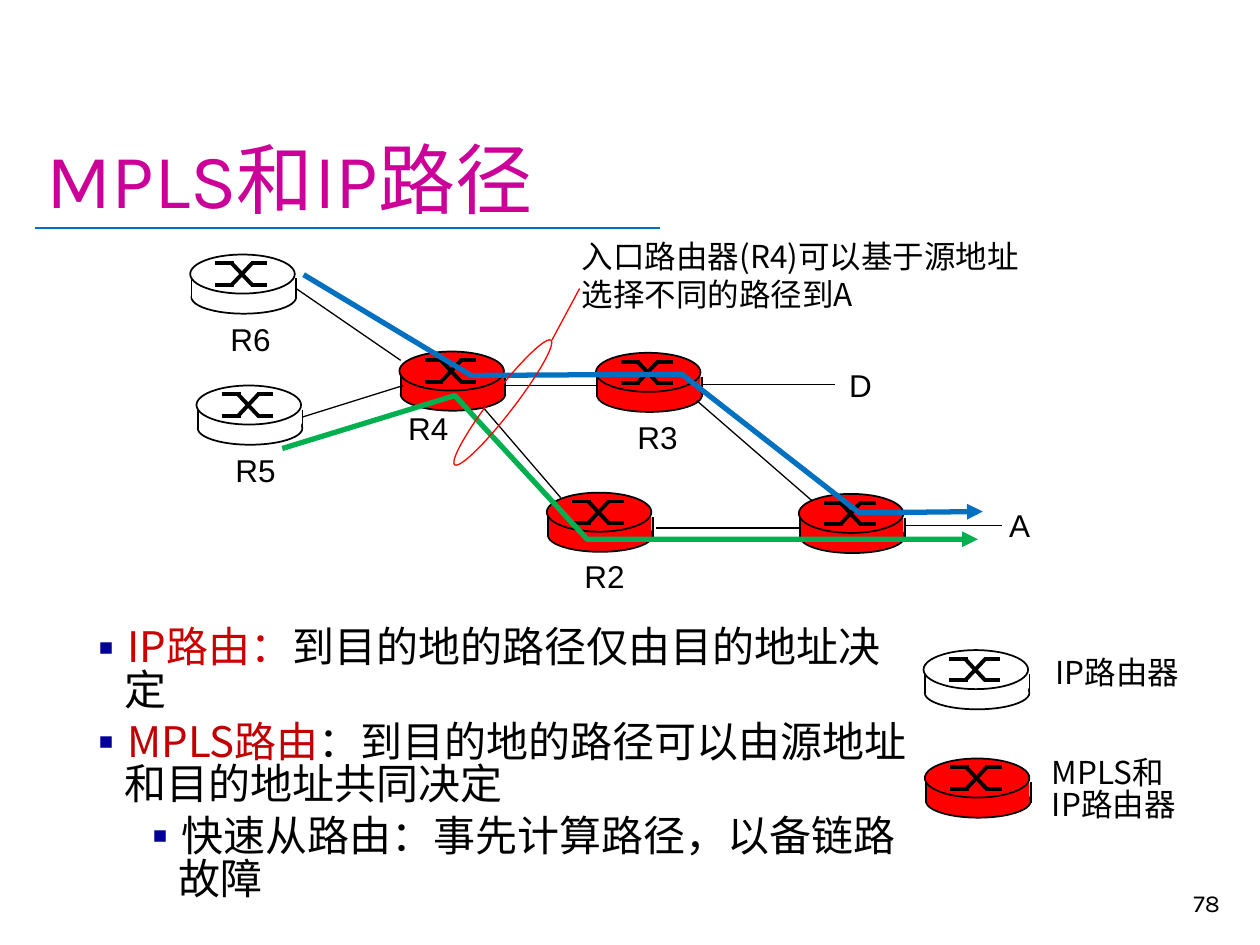
import lxml.etree
import pptx
import pptx.dml.color
import pptx.enum.shapes
import pptx.enum.text
import pptx.oxml.ns
import pptx.util

Inches = pptx.util.Inches
Pt = pptx.util.Pt
qn = pptx.oxml.ns.qn
rgb = pptx.dml.color.RGBColor.from_string
SHAPE = pptx.enum.shapes.MSO_SHAPE
ANCHOR = pptx.enum.text.MSO_ANCHOR
ALIGN = pptx.enum.text.PP_ALIGN

COLORS = {
    "black": "000000", "white": "FFFFFF", "red": "FF0000",
    "blue": "0070C0", "green": "00B050", "title": "CC0099",
    "ip_term": "CC0000", "mpls_term": "C00000", "bullet": "000099",
}
CJK_FONT = "Noto Sans CJK SC"

presentation = pptx.Presentation()
presentation.slide_width = Inches(10)
presentation.slide_height = Inches(7.5)
slide = presentation.slides.add_slide(presentation.slide_layouts[6])


def add_text(text, left, top, width, height, size=18, color="black", font=CJK_FONT,
             wrap=True, anchor=ANCHOR.TOP, align=ALIGN.LEFT, spacing=None, indents=()):
    box = slide.shapes.add_textbox(Inches(left), Inches(top), Inches(width), Inches(height))
    frame = box.text_frame
    frame.word_wrap = wrap
    frame.vertical_anchor = anchor
    paragraphs = [[(text, color)]] if isinstance(text, str) else text
    for index, runs in enumerate(paragraphs):
        paragraph = frame.add_paragraph() if index else frame.paragraphs[0]
        paragraph.alignment = align
        if spacing:
            paragraph.line_spacing = spacing
        if indents:
            properties = paragraph._p.get_or_add_pPr()
            properties.set("marL", str(Inches(indents[index])))
            properties.set("indent", str(Inches(-0.31)))
            paragraph.space_before = Pt(4.8 if index else 0)
            bullet_color = lxml.etree.SubElement(properties, qn("a:buClr"))
            lxml.etree.SubElement(bullet_color, qn("a:srgbClr"), val=COLORS["bullet"])
            lxml.etree.SubElement(properties, qn("a:buFont"), typeface=CJK_FONT)
            lxml.etree.SubElement(properties, qn("a:buChar"), char="▪")
        for content, run_color in runs:
            for line_index, line in enumerate(content.split("\n")):
                if line_index:
                    paragraph.add_line_break()
                run = paragraph.add_run()
                run.text = line
                run.font.size = Pt(size)
                run.font.name = font
                run.font.color.rgb = rgb(COLORS[run_color])
                lxml.etree.SubElement(run._r.get_or_add_rPr(), qn("a:ea"), typeface=CJK_FONT)


def add_line(shapes, x1, y1, x2, y2, color="black", width=0.75):
    line = shapes.add_connector(pptx.enum.shapes.MSO_CONNECTOR.STRAIGHT,
                                Inches(x1), Inches(y1), Inches(x2), Inches(y2))
    line.line.color.rgb = rgb(COLORS[color])
    line.line.width = Pt(width)
    lxml.etree.SubElement(line._element.spPr, qn("a:effectLst"))


add_line(slide.shapes, 0.28, 1.81, 5.24, 1.81, color="blue", width=1.25)
add_text("MPLS和IP路径", 0.27, 0.23, 9.51, 1.6, size=44, color="title", font="Karla",
         anchor=ANCHOR.BOTTOM)
add_text("78", 7.7, 6.83, 2.08, 0.5, size=14, font="Karla",
         anchor=ANCHOR.BOTTOM, align=ALIGN.RIGHT)

routers = [
    (6.34, 3.92, "red"), (4.34, 3.91, "red"), (4.73, 2.8, "red"), (3.17, 2.79, "red"),
    (1.51, 2.02, "white"), (1.56, 3.06, "white"),
    (7.33, 5.16, "white"), (7.34, 6.02, "red"),
]
router_body = [
    (SHAPE.OVAL, 0.01, 0.21, 0.83, 0.26),
    (SHAPE.RECTANGLE, 0.01, 0.19, 0.82, 0.16),
    (SHAPE.OVAL, 0, 0, 0.83, 0.31),
]
switch_strokes = [
    (0.2, 0.07, 0.35, 0.07), (0.48, 0.24, 0.61, 0.24), (0.33, 0.07, 0.49, 0.24),
    (0.2, 0.24, 0.35, 0.24), (0.48, 0.07, 0.61, 0.07), (0.33, 0.24, 0.49, 0.07),
]
for left, top, fill in routers:
    router = slide.shapes.add_group_shape()
    for kind, dx, dy, width, height in router_body:
        part = router.shapes.add_shape(kind, Inches(left + dx), Inches(top + dy),
                                       Inches(width), Inches(height))
        part.shadow.inherit = False
        part.fill.solid()
        part.fill.fore_color.rgb = rgb(COLORS[fill])
        if kind == SHAPE.RECTANGLE:
            part.line.fill.background()
        else:
            part.line.color.rgb = rgb(COLORS["black"])
            part.line.width = Pt(1)
    for dx in (0.01, 0.84):
        add_line(router.shapes, left + dx, top + 0.19, left + dx, top + 0.35, width=1)
    for x1, y1, x2, y2 in switch_strokes:
        add_line(router.shapes, left + x1, top + y1, left + x2, top + y2, width=2.25)

links = [
    (2.35, 2.29, 3.18, 2.86), (2.4, 3.31, 3.2, 3.06), (4.01, 3.06, 4.73, 3.06),
    (3.84, 3.24, 4.45, 3.95), (5.21, 4.19, 6.35, 4.19), (5.53, 3.18, 6.44, 3.97),
    (7.18, 4.17, 7.95, 4.17), (5.57, 3.05, 6.63, 3.05),
]
for link in links:
    add_line(slide.shapes, *link)

node_labels = [
    ("R2", 4.54, 4.37), ("R3", 4.96, 3.27), ("R4", 3.14, 3.2), ("R5", 1.77, 3.53),
    ("R6", 1.73, 2.49), ("D", 6.64, 2.86), ("A", 7.91, 3.97),
]
for name, left, top in node_labels:
    add_text(name, left, top, 0.52 if len(name) == 2 else 0.38, 0.4, font="Arial", wrap=False)

routes = [
    ("blue", [(2.41, 2.18), (3.74, 2.98), (5.41, 2.97), (6.82, 4.07), (7.8, 4.06)]),
    ("green", [(2.24, 3.56), (3.61, 3.14), (4.66, 4.28), (7.76, 4.28)]),
]
for color, points in routes:
    vertices = [(Inches(x), Inches(y)) for x, y in points]
    builder = slide.shapes.build_freeform(*vertices[0])
    builder.add_line_segments(vertices[1:], close=False)
    route = builder.convert_to_shape()
    route.shadow.inherit = False
    route.fill.background()
    route.line.color.rgb = rgb(COLORS[color])
    route.line.width = Pt(3)
    lxml.etree.SubElement(route.line._get_or_add_ln(), qn("a:tailEnd"), type="triangle")

choice_ring = slide.shapes.add_shape(SHAPE.OVAL, Inches(3.9), Inches(2.57),
                                     Inches(0.18), Inches(1.25))
choice_ring.rotation = 37.7
choice_ring.shadow.inherit = False
choice_ring.fill.background()
choice_ring.line.color.rgb = rgb(COLORS["red"])
choice_ring.line.width = Pt(0.75)
add_line(slide.shapes, 4.38, 2.7, 4.6, 2.29, color="red")
add_text("入口路由器(R4)可以基于源地址\n选择不同的路径到A", 4.52, 1.83, 5.19, 0.71)

add_text("IP路由器", 8.28, 5.13, 1.21, 0.4)
add_text("MPLS和\nIP路由器", 8.25, 5.98, 1.21, 0.86, spacing=Pt(18))

routing_notes = [
    [("IP路由：", "ip_term"), ("到目的地的路径仅由目的地址决定", "black")],
    [("MPLS路由", "mpls_term"), ("：到目的地的路径可以由源地址和目的地址共同决定", "black")],
    [("快速从路由：事先计算路径，以备链路故障", "black")],
]
add_text(routing_notes, 0.58, 4.94, 6.78, 2.51, size=24, spacing=0.85,
         indents=(0.31, 0.31, 0.74))

presentation.save("out.pptx")
